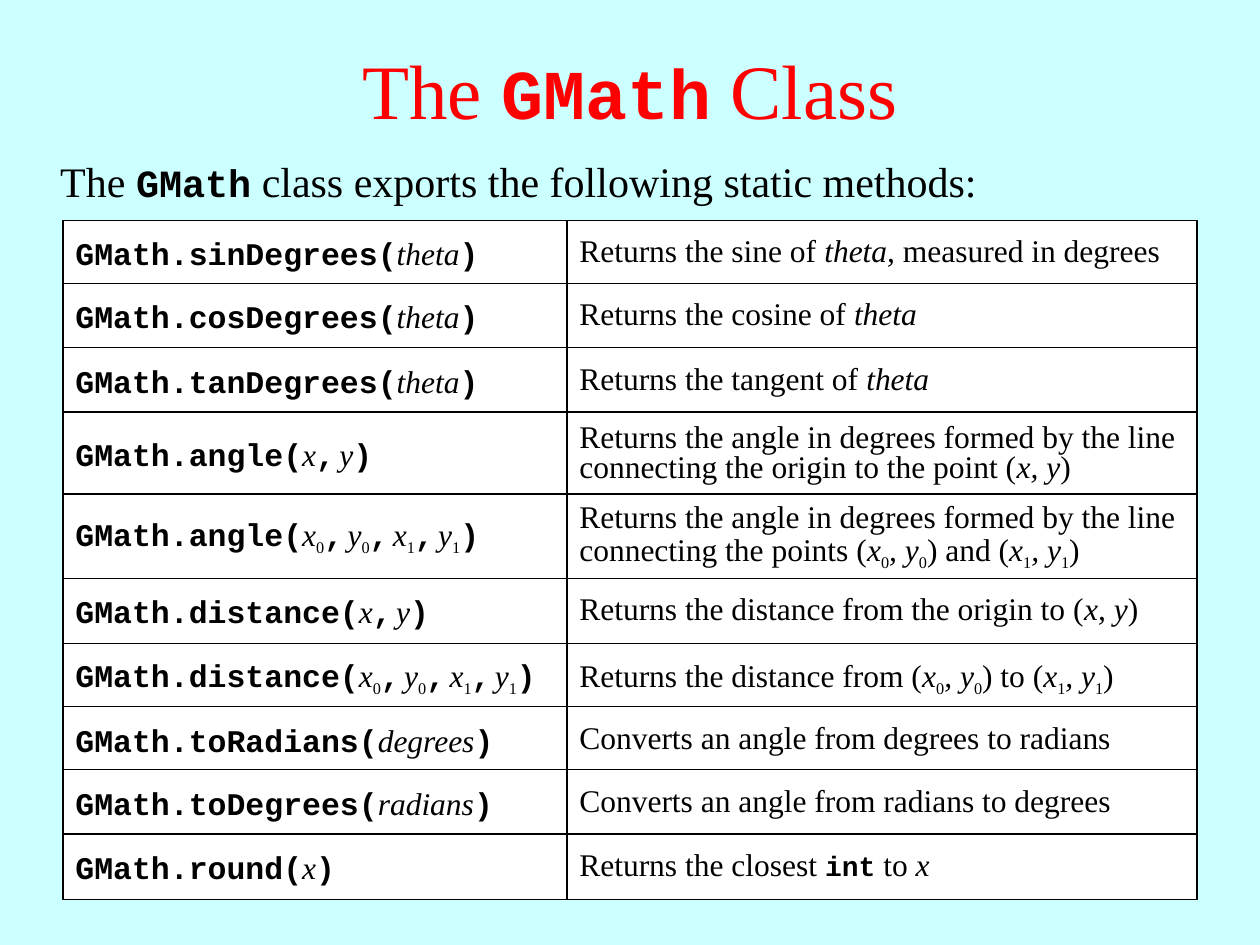
from dataclasses import dataclass
from itertools import groupby

from pptx import Presentation
from pptx import util as u
from pptx.dml.color import RGBColor
from pptx.enum import shapes, text

COLORS = {"background": "CCFFFF", "title": "FF0000", "ink": "000000", "cell": "FFFFFF"}
SERIF, MONO = "Times New Roman", "Courier New"

# Markup: `code`, *italic*, ~subscript~, ^narrow space^
MARKS = "`*~^"
SUB_SIZE, GAP_SIZE, CELL_SIZE = 16, 10, 18

SIGNATURE_LEFT, SIGNATURE_WIDTH = 0.5, 4
RESULT_LEFT, RESULT_WIDTH = 4.5, 5
ROW_HEIGHT, TALL_ROW_HEIGHT = 0.52, 0.67


@dataclass
class Method:
    top: float
    name: str
    args: tuple[str, ...]
    result: str

    @property
    def is_tall(self) -> bool:
        return "\n" in self.result

    @property
    def height(self) -> float:
        return TALL_ROW_HEIGHT if self.is_tall else ROW_HEIGHT

    @property
    def signature(self) -> str:
        return f"`GMath.{self.name}(`" + "`,`^ ^".join(self.args) + "`)`"


X, Y = "*x*", "*y*"
POINTS = ("*x*~0~", "*y*~0~", "*x*~1~", "*y*~1~")
P0, P1 = "(*x*~0~*, y*~0~)", "(*x*~1~*, y*~1~)"
ANGLE = "Returns the angle in degrees formed by the line\nconnecting the "

METHODS = [
    Method(1.75, "sinDegrees", ("*theta*",),
           "Returns the sine of *theta,* measured in degrees"),
    Method(2.25, "cosDegrees", ("*theta*",), "Returns the cosine of *theta*"),
    Method(2.76, "tanDegrees", ("*theta*",), "Returns the tangent of *theta*"),
    Method(3.27, "angle", (X, Y), ANGLE + "origin to the point (*x, y*)"),
    Method(3.92, "angle", POINTS, ANGLE + f"points {P0} and {P1}"),
    Method(4.59, "distance", (X, Y), "Returns the distance from the origin to (*x, y*)"),
    Method(5.11, "distance", POINTS, f"Returns the distance from {P0} to {P1}"),
    Method(5.61, "toRadians", ("*degrees*",), "Converts an angle from degrees to radians"),
    Method(6.11, "toDegrees", ("*radians*",), "Converts an angle from radians to degrees"),
    Method(6.62, "round", (X,), "Returns the closest `int` to *x*"),
]


def rgb(name: str) -> RGBColor:
    return RGBColor.from_string(COLORS[name])


def add_runs(p, markup: str, size: float, code_size: float, color: str) -> None:
    """Turn the markup of one line into formatted runs."""
    active: set[str] = set()
    for is_mark, chars in groupby(markup, key=lambda c: c in MARKS):
        if is_mark:
            for mark in chars:
                active ^= {mark}
            continue
        r = p.add_run()
        r.text = "".join(chars)
        f = r.font
        code = "`" in active
        f.name = MONO if code else SERIF
        f.size = u.Pt(code_size if code else size)
        f.bold = code
        f.italic = bool(active & {"*", "^"})
        f.color.rgb = rgb(color)
        if "^" in active:
            f.size = u.Pt(GAP_SIZE)
        if "~" in active:
            f.size = u.Pt(SUB_SIZE)
            r._r.get_or_add_rPr().set("baseline", "-25000")


def write(tf, markup: str, size: float, code_size: float, color: str = "ink",
          align=text.PP_ALIGN.LEFT, spacing: float = 1.0) -> None:
    for i, line in enumerate(markup.split("\n")):
        p = tf.add_paragraph() if i else tf.paragraphs[0]
        p.alignment = align
        p.line_spacing = spacing
        add_runs(p, line, size, code_size, color)


def add_cell(group, left: float, width: float, method: Method, markup: str,
             code_size: float, spacing: float) -> None:
    sp = group.shapes.add_shape(
        shapes.MSO_SHAPE.RECTANGLE, u.Inches(left), u.Inches(method.top),
        u.Inches(width), u.Inches(method.height))
    sp.shadow.inherit = False
    sp.fill.solid()
    sp.fill.fore_color.rgb = rgb("cell")
    sp.line.color.rgb = rgb("ink")
    sp.line.width = u.Pt(0.75)
    tf = sp.text_frame
    tf.word_wrap = False
    tf.vertical_anchor = text.MSO_ANCHOR.MIDDLE
    write(tf, markup, CELL_SIZE, code_size, spacing=spacing)


def add_text_box(s, left: float, top: float, width: float, height: float):
    tf = s.shapes.add_textbox(u.Inches(left), u.Inches(top),
                              u.Inches(width), u.Inches(height)).text_frame
    tf.word_wrap = True
    return tf


def main() -> None:
    prs = Presentation()
    prs.slide_width, prs.slide_height = u.Inches(10), u.Inches(7.5)
    s = prs.slides.add_slide(prs.slide_layouts[6])
    s.background.fill.solid()
    s.background.fill.fore_color.rgb = rgb("background")

    # Title
    title = add_text_box(s, 0, 0.08, 10, 1.25)
    title.vertical_anchor = text.MSO_ANCHOR.MIDDLE
    write(title, "The `GMath` Class", 44, 40, "title", text.PP_ALIGN.CENTER)

    # Method signatures
    signatures = s.shapes.add_group_shape()
    for m in METHODS:
        add_cell(signatures, SIGNATURE_LEFT, SIGNATURE_WIDTH, m, m.signature, CELL_SIZE, 1.0)

    # Introduction
    intro = add_text_box(s, 0.38, 1.25, 9, 0.44)
    write(intro, "The `GMath` class exports the following static methods:", 24, 22,
          align=text.PP_ALIGN.JUSTIFY, spacing=0.85)

    # What each method returns
    results = s.shapes.add_group_shape()
    for m in METHODS:
        add_cell(results, RESULT_LEFT, RESULT_WIDTH, m, m.result, 16,
                 0.8 if m.is_tall else 0.85)

    prs.save("out.pptx")


if __name__ == "__main__":
    main()
